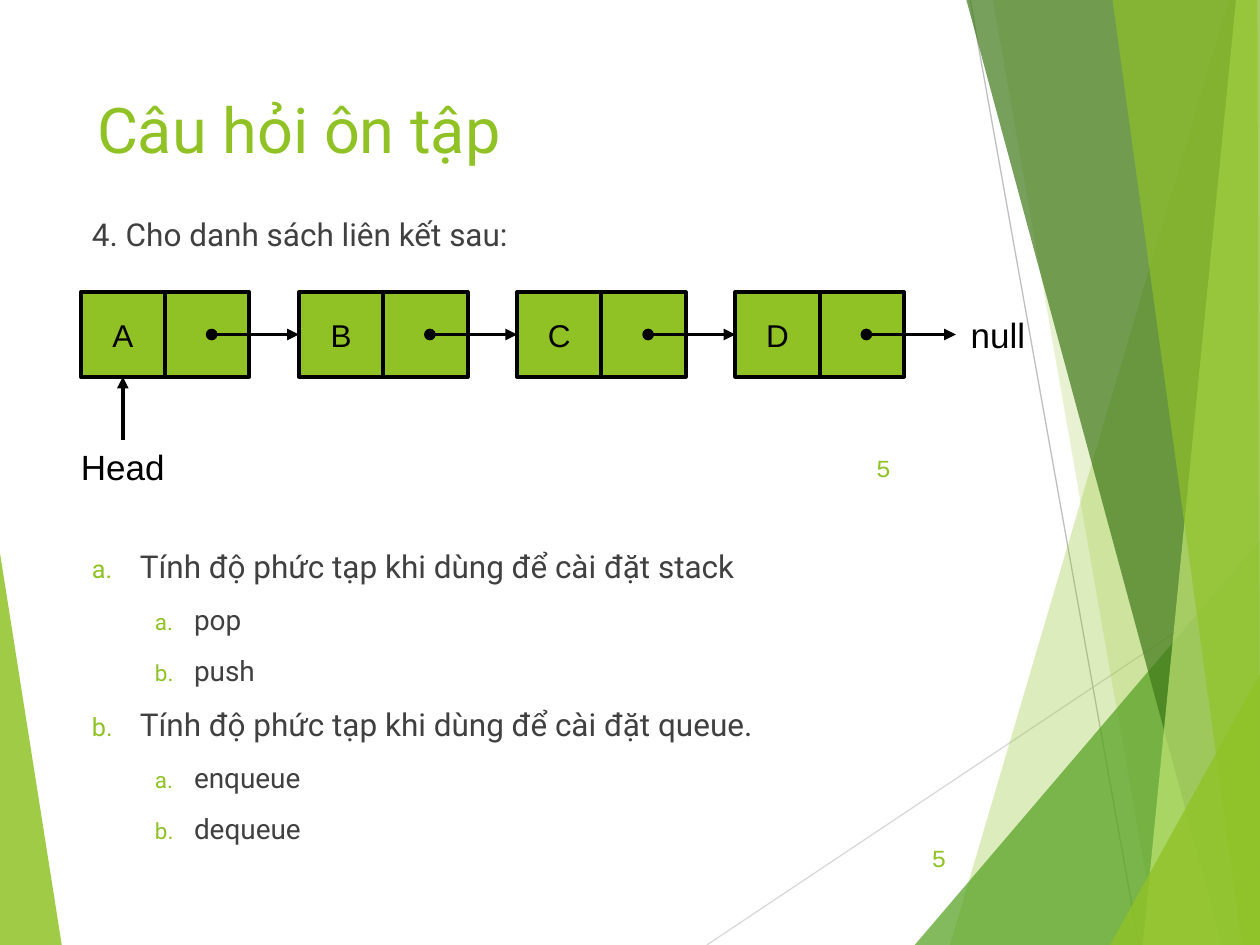
from lxml.etree import SubElement as Sub
from pptx import Presentation
from pptx.dml.color import RGBColor as RGB
from pptx.enum.shapes import MSO_CONNECTOR as Conn, MSO_SHAPE as Shape
from pptx.enum.text import MSO_ANCHOR as Anchor, MSO_AUTO_SIZE as Auto, PP_ALIGN as Align
from pptx.oxml.ns import qn
from pptx.util import Inches, Pt

HUES = {"lime": "90C226", "leaf": "54A021", "moss": "3F7819", "pale": "C0E474",
        "ink": "000000", "text": "404040", "mist": "D9D9D9", "gray": "BFBFBF"}
HUE = {name: RGB.from_string(code) for name, code in HUES.items()}

deck = Presentation()
deck.slide_width, deck.slide_height = Inches(10), Inches(7.5)
slide = deck.slides.add_slide(deck.slide_layouts[1])
shapes = slide.shapes
title, body = shapes.title, slide.placeholders[1]
UNIT = deck.slide_width // 100


def grid(*cells):
    return [round(cell * UNIT) for cell in cells]


def link(ends, hue, width, head=None, tail=None):
    line = shapes.add_connector(Conn.STRAIGHT, *grid(*ends))
    line.line.color.rgb = HUE[hue]
    line.line.width = Pt(width)
    props = line.element.spPr
    for tag, kind in (("a:headEnd", head), ("a:tailEnd", tail)):
        if kind:
            Sub(props.find(qn("a:ln")), qn(tag), type=kind)
    Sub(props, qn("a:effectLst"))
    return line


facets = [
    ("lime", 85, [(0, 43.9), (4.9, 75), (0, 75)]),
    ("lime", 30, [(97.5, 0), (75.4, 75), (100, 75), (100, 0)]),
    ("lime", 20, [(78.8, 0), (91.9, 75), (100, 75), (100, 0)]),
    ("leaf", 72, [(72.6, 75), (100, 42.9), (100, 75)]),
    ("moss", 70, [(76.7, 0), (97, 75), (100, 75), (100, 0)]),
    ("pale", 70, [(98.1, 0), (90.7, 75), (100, 75), (100, 0)]),
    ("lime", 65, [(88.3, 0), (98.6, 75), (100, 75), (99.8, 0)]),
    ("lime", 80, [(88.1, 75), (100, 53.5), (100, 75)]),
]
for index, (hue, alpha, points) in enumerate(facets):
    if index == 1:
        link((56.1, 75, 100, 45.7), "mist", 0.75)
        link((77, 0, 90.4, 75), "gray", 0.75)
    dots = [grid(*point) for point in points]
    pen = shapes.build_freeform(*dots[0])
    pen.add_line_segments(dots[1:], close=True)
    facet = pen.convert_to_shape()
    facet.shadow.inherit = False
    facet.fill.solid()
    facet.fill.fore_color.rgb = HUE[hue]
    facet.line.fill.background()
    tint = facet.element.spPr.find(qn("a:solidFill"))[0]
    Sub(tint, qn("a:alpha"), val=str(alpha * 1000))

for holder, area in ((title, (6.7, 6.7, 69.4, 14.4)), (body, (6.3, 16.6, 69.4, 42.4))):
    holder.left, holder.top, holder.width, holder.height = grid(*area)
    holder.text_frame.auto_size = Auto.NONE
    holder.text_frame.word_wrap = True
    holder.text_frame.vertical_anchor = Anchor.TOP
    holder.element.getparent().append(holder.element)

title.text_frame.text = "Câu hỏi ôn tập"
head = title.text_frame.paragraphs[0]
head.alignment = Align.LEFT
font = head.runs[0].font
font.name, font.size, font.color.rgb = "Roboto", Pt(36), HUE["lime"]

items = [
    (0, "4. Cho danh sách liên kết sau:"),
    (0, "Tính độ phức tạp khi dùng để cài đặt stack"),
    (1, "pop"),
    (1, "push"),
    (0, "Tính độ phức tạp khi dùng để cài đặt queue."),
    (1, "enqueue"),
    (1, "dequeue"),
]
body.text_frame.text = "\n".join(text for level, text in items)
for index, (level, text) in enumerate(items):
    para = body.text_frame.paragraphs[index]
    para.level = level
    para.alignment = Align.LEFT
    para.space_before = Pt(168 if index == 1 else 10)
    font = para.runs[0].font
    font.name, font.size, font.color.rgb = "Roboto", Pt(16 if level else 18), HUE["text"]
    props = para.runs[0].font and para._p.get_or_add_pPr()
    margin, indent = grid(*((8.1, -3.1) if level else (3.8, -3.8))) if index else (0, 0)
    props.set("marL", str(margin))
    props.set("indent", str(indent))
    if index:
        Sub(Sub(props, qn("a:buClr")), qn("a:srgbClr"), val=HUES["lime"])
        Sub(props, qn("a:buSzPct"), val="80000")
        Sub(props, qn("a:buFont"), typeface="+mj-lt")
        Sub(props, qn("a:buAutoNum"), type="alphaLcPeriod")
    else:
        Sub(props, qn("a:buNone"))

SIDE, TOP, LEFT, STEP = 6.7, 23.2, 6.4, 17.32
MID = TOP + SIDE / 2
cells = []
for index, name in enumerate("ABCD"):
    for half, text in enumerate((name, "")):
        left = LEFT + index * STEP + half * SIDE
        cell = shapes.add_shape(Shape.RECTANGLE, *grid(left, TOP, SIDE, SIDE))
        cell.shadow.inherit = False
        cell.fill.solid()
        cell.fill.fore_color.rgb = HUE["lime"]
        cell.line.color.rgb = HUE["ink"]
        cell.line.width = Pt(2.25)
        if text:
            cell.text_frame.text = text
            cell.text_frame.vertical_anchor = Anchor.MIDDLE
            para = cell.text_frame.paragraphs[0]
            para.alignment = Align.CENTER
            font = para.runs[0].font
            font.name, font.size, font.color.rgb = "Arial", Pt(18), HUE["ink"]
            cells.append(cell)

for index in range(len(cells)):
    start = LEFT + index * STEP + 10.4
    arrow = link((start, MID, start + 7.1, MID), "ink", 2.25, "oval", "triangle")
    if index + 1 < len(cells):
        arrow.end_connect(cells[index + 1], 1)

mark = LEFT + SIDE / 2
arrow = link((mark, 34.9, mark, TOP + SIDE), "ink", 2.25, tail="triangle")
arrow.end_connect(cells[0], 2)

notes = [
    ("5", (70.5, 66.1, 5.6, 4), "Courier New", 14, "lime", Align.RIGHT, Anchor.MIDDLE),
    ("5", (66.1, 35.1, 5.6, 4), "Courier New", 14, "lime", Align.RIGHT, Anchor.MIDDLE),
    ("null", (76, 24.4, 6.4, 7.7), "Arial", 20, "ink", Align.CENTER, Anchor.TOP),
    ("Head", (5.4, 34.9, 8.7, 4.4), "Arial", 20, "ink", Align.CENTER, Anchor.TOP),
]
for text, area, face, size, hue, align, anchor in notes:
    frame = shapes.add_textbox(*grid(*area)).text_frame
    frame.text = text
    frame.word_wrap = face != "Arial"
    frame.vertical_anchor = anchor
    para = frame.paragraphs[0]
    para.alignment = align
    font = para.runs[0].font
    font.name, font.size, font.color.rgb = face, Pt(size), HUE[hue]

deck.save("out.pptx")
